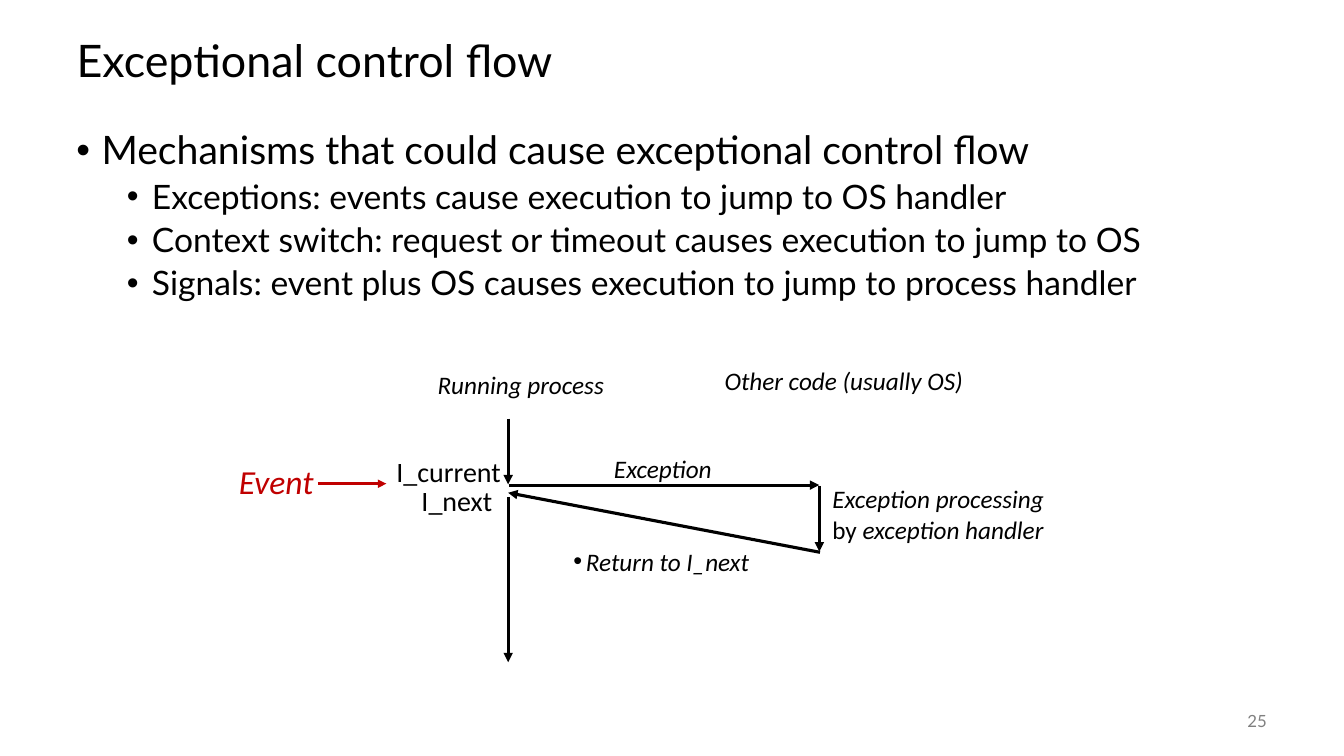
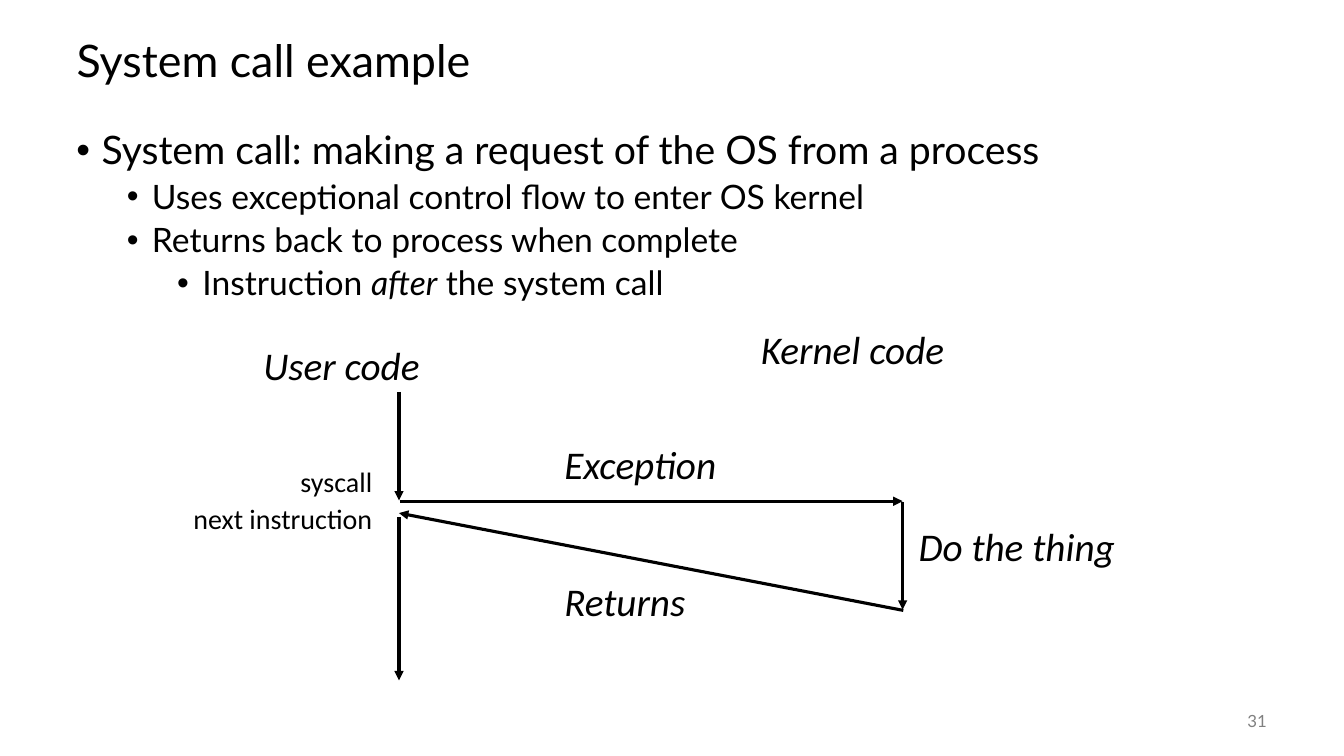
from pptx import Presentation
from pptx.dml.color import RGBColor
from pptx.enum.shapes import MSO_CONNECTOR
from pptx.enum.text import MSO_ANCHOR, PP_ALIGN
from pptx.oxml.ns import qn
from pptx.util import Pt
from lxml.etree import SubElement


def color(hex_code):
    return RGBColor.from_string(hex_code)


class Deck:
    BLACK, RED, GRAY = "000000", "C00000", "808080"
    MAIN_FONT, LABEL_FONT = "Lato", "Calibri"
    TITLE_ONLY_LAYOUT = 5
    MARGIN, CONTENT_WIDTH = 47.5, 864
    BULLET_INDENT, LEVEL_INDENT = 18, 36

    def __init__(self):
        self.presentation = Presentation()
        self.presentation.slide_width = Pt(960)
        self.presentation.slide_height = Pt(540)
        self.slide = None

    def add_slide(self, title, number):
        layout = self.presentation.slide_layouts[self.TITLE_ONLY_LAYOUT]
        self.slide = self.presentation.slides.add_slide(layout)
        shape = self.slide.shapes.title
        shape.left, shape.top = Pt(self.MARGIN), Pt(18)
        shape.width, shape.height = Pt(self.CONTENT_WIDTH), Pt(54)
        shape.text_frame.vertical_anchor = MSO_ANCHOR.MIDDLE
        paragraph = shape.text_frame.paragraphs[0]
        paragraph.alignment = PP_ALIGN.LEFT
        paragraph.line_spacing = 0.9
        self.add_run(paragraph, title, 32, self.MAIN_FONT)
        self.add_number(number)

    def add_number(self, number):
        frame = self.add_frame(840, 500.5, 72, 29)
        frame.vertical_anchor = MSO_ANCHOR.MIDDLE
        paragraph = frame.paragraphs[0]
        paragraph.alignment = PP_ALIGN.RIGHT
        self.add_run(paragraph, str(number), 12, self.MAIN_FONT, self.GRAY)

    def add_frame(self, left, top, width, height):
        shape = self.slide.shapes.add_textbox(Pt(left), Pt(top), Pt(width), Pt(height))
        shape.text_frame.word_wrap = True
        return shape.text_frame

    def add_run(self, paragraph, text, size, font, hex_code=BLACK, italic=False):
        run = paragraph.add_run()
        run.text = text
        run.font.name = font
        run.font.size = Pt(size)
        run.font.italic = italic
        run.font.color.rgb = color(hex_code)

    def add_bullet(self, paragraph, left, hanging):
        properties = paragraph._p.get_or_add_pPr()
        properties.set("marL", str(Pt(left)))
        properties.set("indent", str(-Pt(hanging)))
        SubElement(properties, qn("a:buFont"), typeface="Arial")
        SubElement(properties, qn("a:buChar"), char="•")

    def add_body(self, items):
        """Each item is a level followed by (text, italic) runs."""
        frame = self.add_frame(self.MARGIN, 90, self.CONTENT_WIDTH, 396)
        for index, (level, *runs) in enumerate(items):
            paragraph = frame.add_paragraph() if index else frame.paragraphs[0]
            paragraph.level = level
            paragraph.line_spacing = 0.9
            paragraph.space_before = Pt(5 if index else 0)
            left = self.BULLET_INDENT + level * self.LEVEL_INDENT
            self.add_bullet(paragraph, left, self.BULLET_INDENT)
            for text, italic in runs:
                self.add_run(paragraph, text, 24 if level else 28, self.MAIN_FONT, italic=italic)

    def add_label(self, left, top, width, text, size, italic=True, hex_code=BLACK,
                  alignment=PP_ALIGN.LEFT):
        frame = self.add_frame(left, top, width, size * 1.2 + 7.2)
        paragraph = frame.paragraphs[0]
        paragraph.alignment = alignment
        self.add_run(paragraph, text, size, self.LABEL_FONT, hex_code, italic)
        return frame

    def add_arrow(self, start, end, hex_code=BLACK, width=2.25):
        connector = self.slide.shapes.add_connector(
            MSO_CONNECTOR.STRAIGHT, *(Pt(value) for value in (*start, *end)))
        connector.line.color.rgb = color(hex_code)
        connector.line.width = Pt(width)
        properties = connector.element.spPr
        SubElement(properties.find(qn("a:ln")), qn("a:tailEnd"), type="triangle")
        SubElement(properties, qn("a:effectLst"))

    def add_control_flow(self, process_x, handler_x, start, call, handled, resume, end):
        """Draw the process running, jumping to its handler and resuming."""
        self.add_arrow((process_x, start), (process_x, call - 0.5))
        self.add_arrow((process_x + 0.5, call), (handler_x, call))
        self.add_arrow((handler_x, call + 0.5), (handler_x, handled - 0.5))
        self.add_arrow((handler_x + 0.5, handled), (process_x, resume))
        self.add_arrow((process_x, resume + 3), (process_x, end))


def add_exceptional_flow_slide(deck):
    deck.add_slide("Exceptional control flow", 25)
    deck.add_body([
        (0, ("Mechanisms that could cause exceptional control flow", False)),
        (1, ("Exceptions: events cause execution to jump to OS handler", False)),
        (1, ("Context switch: request or timeout causes execution to jump to OS", False)),
        (1, ("Signals: event plus OS causes execution to jump to process handler", False)),
    ])
    deck.add_control_flow(363, 585.25, start=299, call=346.5, handled=394.5, resume=352, end=473)
    deck.add_label(305.5, 260.5, 150, "Running process", 18)
    deck.add_label(510.5, 257.5, 200, "Other code (usually OS)", 18)
    deck.add_label(431.5, 320.5, 100, "Exception", 18)
    frame = deck.add_label(587.5, 342, 175, "Exception processing", 18)
    paragraph = frame.add_paragraph()
    deck.add_run(paragraph, "by ", 18, deck.LABEL_FONT)
    deck.add_run(paragraph, "exception handler", 18, deck.LABEL_FONT, italic=True)
    frame = deck.add_label(402.5, 386.5, 160, "Return to I_next", 18)
    deck.add_bullet(frame.paragraphs[0], 9, 9)
    deck.add_label(163.5, 325.5, 90, "Event", 24, hex_code=deck.RED)
    deck.add_label(276, 321, 100, "I_current", 20, italic=False)
    deck.add_label(294, 342, 80, "I_next", 20, italic=False)
    deck.add_arrow((227, 345.5), (276, 345.5), deck.RED, 2)


def add_system_call_slide(deck):
    deck.add_slide("System call example", 31)
    deck.add_body([
        (0, ("System call: making a request of the OS from a process", False)),
        (1, ("Uses exceptional control flow to enter OS kernel", False)),
        (1, ("Returns back to process when complete", False)),
        (2, ("Instruction ", False), ("after", True), (" the system call", False)),
    ])
    deck.add_control_flow(285, 644.75, start=280, call=358, handled=436, resume=366.5, end=486)
    for left, top, width, text in (
        (181, 240.5, 140, "User code"),
        (536.5, 229, 160, "Kernel code"),
        (396, 311, 140, "Exception"),
        (649, 369.5, 170, "Do the thing"),
        (396, 409, 120, "Returns"),
    ):
        deck.add_label(left, top, width, text, 28)
    for top, text in ((328.5, "syscall"), (354.5, "next instruction")):
        deck.add_label(deck.MARGIN, top, 225.5, text, 20, italic=False,
                       alignment=PP_ALIGN.RIGHT)


def main():
    deck = Deck()
    add_exceptional_flow_slide(deck)
    add_system_call_slide(deck)
    deck.presentation.save("out.pptx")


if __name__ == "__main__":
    main()
